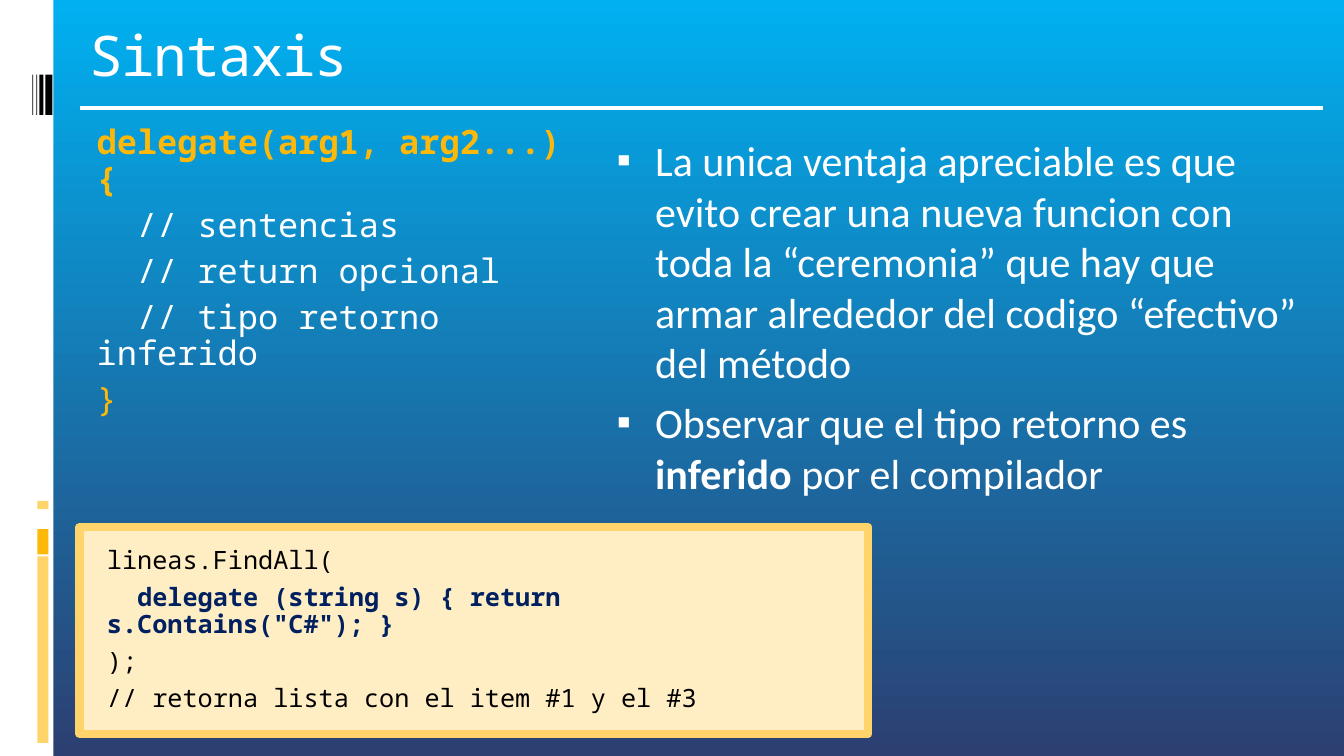
from lxml import etree
from pptx import Presentation
from pptx.dml.color import RGBColor
from pptx.enum.shapes import MSO_CONNECTOR, MSO_SHAPE
from pptx.enum.text import MSO_ANCHOR, PP_ALIGN
from pptx.oxml.ns import qn
from pptx.util import Inches, Pt

RECTANGLE = MSO_SHAPE.RECTANGLE
STRAIGHT = MSO_CONNECTOR.STRAIGHT
TOP = MSO_ANCHOR.TOP
ALIGN_LEFT = PP_ALIGN.LEFT

# Content
COLORS = {
    "sky": "00B0F0", "night": "2C3F71", "white": "FFFFFF", "black": "000000",
    "amber": "FEB80A", "pale amber": "FED46B", "cream": "FFEEC4", "navy": "002060",
}
CODE_FONT, TEXT_FONT = "Noto Sans Mono", "Calibri"

TITLE = "Sintaxis"
# Code lines: indent in characters, text, colour, bold
SYNTAX = [
    (0, "delegate(arg1, arg2...) {", "amber", True),
    (2, "// sentencias", "white", False),
    (2, "// return opcional", "white", False),
    (2, "// tipo retorno inferido", "white", False),
    (0, "}", "amber", False),
]
EXAMPLE = [
    (0, "lineas.FindAll(", "black", False),
    (2, 'delegate (string s) { return s.Contains("C#"); }', "navy", True),
    (0, ");", "black", False),
    (0, "// retorna lista con el item #1 y el #3", "black", False),
]
# Bullets: runs of text and bold
BULLETS = [
    [("La unica ventaja apreciable es que evito crear una nueva funcion con toda la "
      "“ceremonia” que hay que armar alrededor del codigo “efectivo” del método", False)],
    [("Observar que el tipo retorno es ", False), ("inferido", True),
     (" por el compilador", False)],
]

# Layout, in inches
WIDTH, HEIGHT = 13.33, 7.5
MARGIN = 0.79
STRIP_WIDTH = 0.53
ACCENT_LEFT, ACCENT_WIDTH = 0.37, 0.11
ACCENTS = [  # top, height, colour
    (5.52, 1.85, "pale amber"), (5.25, 0.25, "amber"),
    (5.07, 0.15, "white"), (4.97, 0.08, "pale amber"),
]
BARCODE_TOP, BARCODE_HEIGHT = 0.74, 0.4
BARCODE = [(0.45, 0.07), (0.39, 0.04), (0.36, 0.01), (0.32, 0.01)]  # left, width
RULE_TOP, RULE_RIGHT = 1.07, 13.12
TEXT_INDENT = 0.07
CHARACTER_WIDTH = 0.6  # monospaced advance, in ems
SPACE_BEFORE = Pt(7)


def color(name):
    return RGBColor.from_string(COLORS[name])


def add_rectangle(slide, left, top, width, height, fill):
    shape = slide.shapes.add_shape(
        RECTANGLE, Inches(left), Inches(top), Inches(width), Inches(height))
    shape.shadow.inherit = False
    shape.fill.solid()
    shape.fill.fore_color.rgb = color(fill)
    shape.line.fill.background()
    return shape


def add_text_box(slide, left, top, width, height):
    box = slide.shapes.add_textbox(
        Inches(left), Inches(top), Inches(width), Inches(height))
    box.text_frame.word_wrap = True
    return box.text_frame


def next_paragraph(frame, index):
    return frame.add_paragraph() if index else frame.paragraphs[0]


def set_font(paragraph, name, size, color_name, bold=None):
    font = paragraph.font
    font.name, font.size, font.bold = name, Pt(size), bold
    font.color.rgb = color(color_name)


def set_indent(paragraph, left, first_line):
    properties = paragraph._p.get_or_add_pPr()
    properties.set("marL", str(Inches(left)))
    properties.set("indent", str(Inches(first_line)))
    return properties


def write_code(frame, lines, size):
    frame.vertical_anchor = TOP
    for index, (characters, text, color_name, bold) in enumerate(lines):
        paragraph = next_paragraph(frame, index)
        paragraph.text = text
        paragraph.alignment = ALIGN_LEFT
        paragraph.space_before = SPACE_BEFORE
        paragraph.line_spacing = 0.9
        set_font(paragraph, CODE_FONT, size, color_name, bold)
        set_indent(paragraph, TEXT_INDENT, characters * CHARACTER_WIDTH * size / 72)


def write_bullets(frame, items):
    for index, runs in enumerate(items):
        paragraph = next_paragraph(frame, index)
        paragraph.space_before = SPACE_BEFORE
        set_font(paragraph, TEXT_FONT, 30, "white")
        for text, bold in runs:
            run = paragraph.add_run()
            run.text = text
            run.font.bold = bold
        properties = set_indent(paragraph, 0.45, -0.38)
        bullet_color = etree.Element(qn("a:buClr"))
        etree.SubElement(bullet_color, qn("a:srgbClr"), val=COLORS["white"])
        bullet = [
            bullet_color,
            etree.Element(qn("a:buSzPct"), val="95000"),
            etree.Element(qn("a:buFont"), typeface="Wingdings 2"),
            etree.Element(qn("a:buChar"), char="▪"),
        ]
        bullet[2].set("typeface", TEXT_FONT)
        defaults = properties.find(qn("a:defRPr"))
        for element in bullet:
            defaults.addprevious(element)


def main():
    presentation = Presentation()
    presentation.slide_width, presentation.slide_height = Inches(WIDTH), Inches(HEIGHT)
    slide = presentation.slides.add_slide(presentation.slide_layouts[6])

    # Background
    background = slide.background.fill
    background.gradient()
    background.gradient_angle = 270
    for stop, name in zip(background.gradient_stops, ("sky", "night")):
        stop.color.rgb = color(name)

    # Side strip with accents and barcode
    add_rectangle(slide, 0, 0, STRIP_WIDTH, HEIGHT, "white")
    for top, height, fill in ACCENTS:
        add_rectangle(slide, ACCENT_LEFT, top, ACCENT_WIDTH, height, fill)
    for left, width in BARCODE:
        add_rectangle(slide, left, BARCODE_TOP, width, BARCODE_HEIGHT, "black")

    # Title and rule
    title = add_text_box(slide, MARGIN, 0.2, 11.33, 1)
    title.margin_top = 0
    paragraph = title.paragraphs[0]
    run = paragraph.add_run()
    run.text = TITLE
    set_font(paragraph, CODE_FONT, 40, "white")
    run.font._element.set("spc", "-100")
    rule = slide.shapes.add_connector(
        STRAIGHT, Inches(MARGIN), Inches(RULE_TOP), Inches(RULE_RIGHT), Inches(RULE_TOP))
    rule.line.color.rgb = color("white")
    rule.line.width = Pt(3)
    etree.SubElement(rule._element.spPr, qn("a:effectLst"))

    # Example box
    example = add_rectangle(slide, MARGIN, 5.23, 7.82, 2.05, "cream")
    example.line.color.rgb = color("pale amber")
    example.line.width = Pt(6)
    etree.SubElement(example.line._ln, qn("a:round"))
    frame = example.text_frame
    frame.word_wrap = True
    frame.margin_left = frame.margin_right = Inches(0.2)
    frame.margin_top = frame.margin_bottom = Inches(0.2)
    write_code(frame, EXAMPLE, 18)

    # Syntax and remarks
    write_code(add_text_box(slide, MARGIN, 1.2, 5.25, 3.07), SYNTAX, 24)
    write_bullets(add_text_box(slide, 5.95, 1.29, 7.18, 3.72), BULLETS)

    presentation.save("out.pptx")


if __name__ == "__main__":
    main()
